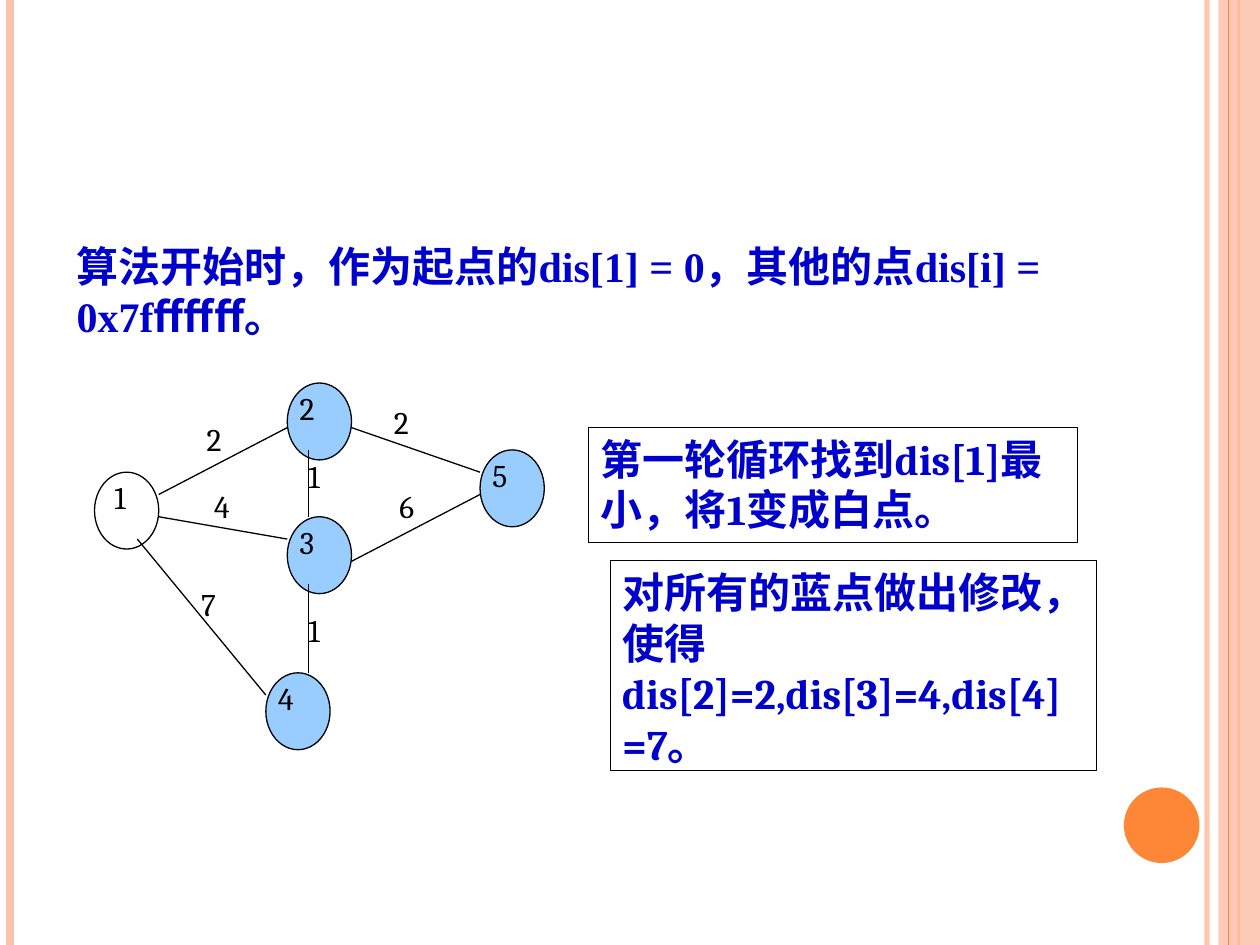
from lxml.etree import SubElement
from pptx import Presentation
from pptx.dml.color import RGBColor
from pptx.enum.shapes import MSO_CONNECTOR, MSO_SHAPE
from pptx.enum.text import MSO_ANCHOR, PP_ALIGN
from pptx.oxml.ns import qn
from pptx.util import Inches, Pt

PEACH = RGBColor(0xFE, 0xC3, 0xAE)
ORANGE = RGBColor(0xFE, 0x86, 0x37)
NODE_BLUE = RGBColor(0x99, 0xCC, 0xFF)
TEXT_BLUE = RGBColor(0x00, 0x00, 0xCC)
BLACK = RGBColor(0, 0, 0)

SERIF, ROMAN, CJK = "Cambria", "Times New Roman", "Noto Sans CJK SC"
BODY = {"size": Pt(24), "bold": True}
LABEL = {"size": Pt(18), "bold": False}

WIDTH, HEIGHT = 10, 7.5
GRAPH_LEFT, GRAPH_TOP = 0.75, 3.04
COLUMN, ROW = 0.17, 2.3 / 13
NODE_COLUMNS, NODE_ROWS = 3, 3.45

# Number: (column, row) of the node on the graph grid
NODES = {1: (0, 4), 2: (9, 0), 3: (9, 6), 4: (8, 13), 5: (18, 3)}
# Start, end, weight, place of the weight, all on the graph grid
EDGES = [
    ((3, 5), (9, 2), 2, (4.65, 1.4)),
    ((2, 7), (8, 14), 7, (4.4, 8.8)),
    ((3, 6), (9, 7), 4, (5, 4.4)),
    ((10, 3), (10, 6), 1, (9.4, 3.05)),
    ((10, 9), (10, 13), 1, (9.4, 9.95)),
    ((12, 8), (18, 5), 6, (13.65, 4.4)),
    ((12, 2), (18, 4), 2, (13.4, 0.6)),
]
INTRO = [
    ("算法开始时，作为起点的", CJK),
    ("dis[1] = 0", ROMAN),
    ("，其他的点", CJK),
    ("dis[i] = 0x7f", ROMAN),
    ("ffffff。", CJK),
]
NOTES = [
    ((4.67, 3.39, 3.88, 0.91), "第一轮循环找到dis[1]最小，将1变成白点。"),
    ((4.84, 4.45, 3.86, 1.66), "对所有的蓝点做出修改，使得dis[2]=2,dis[3]=4,dis[4]=7。"),
]


def grid_point(column, row):
    return GRAPH_LEFT + column * COLUMN, GRAPH_TOP + row * ROW


def set_alpha(color_parent, percent):
    color = next(color_parent.iter(qn("a:srgbClr")))
    SubElement(color, qn("a:alpha")).set("val", str(percent * 1000))


def add_line(slide, start, end, color, weight):
    line = slide.shapes.add_connector(
        MSO_CONNECTOR.STRAIGHT, *(Inches(v) for v in (*start, *end)))
    line.line.color.rgb = color
    line.line.width = Pt(weight)
    SubElement(line._element.spPr, qn("a:effectLst"))
    return line


def add_outline(slide, kind, box, fill=None, line=None, weight=0.75):
    shape = slide.shapes.add_shape(kind, *(Inches(v) for v in box))
    shape.shadow.inherit = False
    if fill is None:
        shape.fill.background()
    else:
        shape.fill.solid()
        shape.fill.fore_color.rgb = fill
    if line is None:
        shape.line.fill.background()
    else:
        shape.line.color.rgb = line
        shape.line.width = Pt(weight)
    return shape


def write(shape, runs, color, style):
    frame = shape.text_frame
    frame.word_wrap = True
    frame.vertical_anchor = MSO_ANCHOR.TOP
    paragraph = frame.paragraphs[0]
    paragraph.alignment = PP_ALIGN.LEFT
    for text, typeface in runs:
        run = paragraph.add_run()
        run.text = text
        run.font.color.rgb = color
        for name, value in {**style, "name": typeface}.items():
            setattr(run.font, name, value)
        SubElement(run.font._element, qn("a:ea")).set("typeface", CJK)


def add_text(slide, box, runs, color, style):
    text_box = slide.shapes.add_textbox(*(Inches(v) for v in box))
    write(text_box, runs, color, style)


def add_label(slide, place, number):
    box = (*grid_point(*place), NODE_COLUMNS * COLUMN, 3 * ROW)
    add_text(slide, box, [(str(number), SERIF)], BLACK, LABEL)


def add_side_bands(slide):
    def stripe(x, color, weight):
        return add_line(slide, (x, 0), (x, HEIGHT), color, weight)

    set_alpha(stripe(9.58, PEACH, 3)._element.spPr, 93)
    stripe(0.08, PEACH, 4.5)
    stripe(9.83, ORANGE, 1.5)
    band = add_outline(slide, MSO_SHAPE.RECTANGLE, (9.67, 0, 0.33, HEIGHT), PEACH)
    set_alpha(band._element.spPr, 87)
    stripe(9.75, ORANGE, 0.75)
    add_outline(slide, MSO_SHAPE.OVAL, (8.92, 6.25, 0.6, 0.6), ORANGE)


def add_graph(slide):
    for number, place in NODES.items():
        box = (*grid_point(*place), NODE_COLUMNS * COLUMN, NODE_ROWS * ROW)
        fill = None if number == 1 else NODE_BLUE
        add_outline(slide, MSO_SHAPE.OVAL, box, fill, BLACK)
    for start, end, _, _ in EDGES:
        add_line(slide, grid_point(*start), grid_point(*end), BLACK, 0.75)
    for number, (column, row) in NODES.items():
        shift = 0.35 if number == 1 else 0
        add_label(slide, (column + shift, row), number)
    for _, _, weight, place in EDGES:
        add_label(slide, place, weight)


def main():
    deck = Presentation()
    deck.slide_width, deck.slide_height = Inches(WIDTH), Inches(HEIGHT)
    slide = deck.slides.add_slide(deck.slide_layouts[6])
    add_side_bands(slide)
    add_text(slide, (0.51, 1.86, 8.74, 0.9), INTRO, TEXT_BLUE, BODY)
    add_graph(slide)
    for box, text in NOTES:
        note = add_outline(slide, MSO_SHAPE.RECTANGLE, box, line=BLACK, weight=0.25)
        write(note, [(text, SERIF)], TEXT_BLUE, BODY)
    deck.save("out.pptx")


if __name__ == "__main__":
    main()
